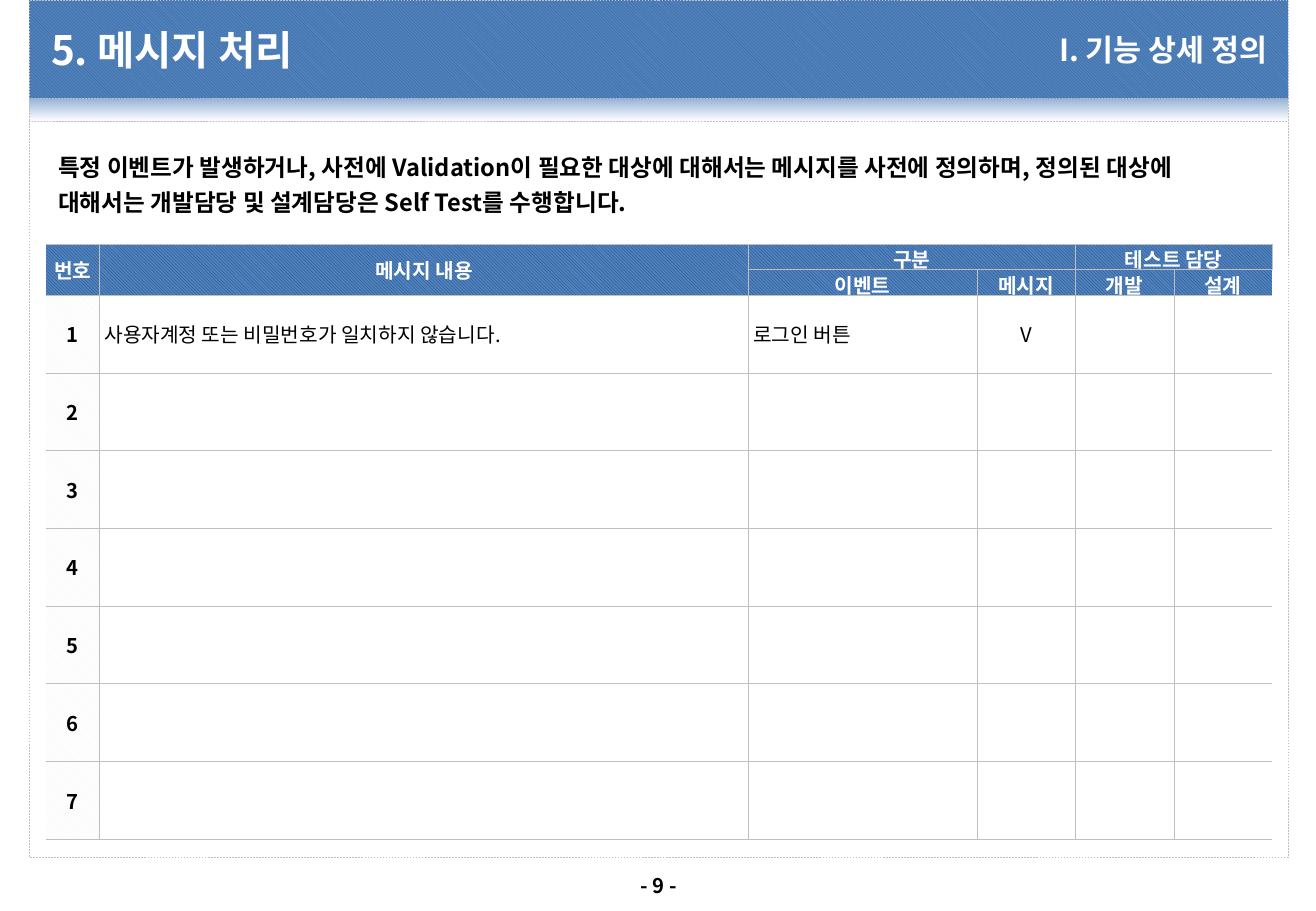
from lxml import etree
from pptx import Presentation
from pptx import util as u
from pptx.dml import color
from pptx.enum import dml, shapes, text
from pptx.oxml import ns

FONT = "Noto Sans CJK KR"
COLORS = {
    "white": "FFFFFF", "black": "000000", "border": "BFBFBF",
    "blue": "4F81BD", "title_hatch": "376092", "head_hatch": "1F497D",
    "number_hatch": "F2F2F2", "fade": "95B3D7",
}
LEFT, CENTER, RIGHT = text.PP_ALIGN.LEFT, text.PP_ALIGN.CENTER, text.PP_ALIGN.RIGHT
MIDDLE, TOP = text.MSO_ANCHOR.MIDDLE, text.MSO_ANCHOR.TOP
COLUMNS = [0.44, 5.34, 1.88, 0.81, 0.81, 0.81]
HEAD_HEIGHT, BODY_HEIGHT, BODY_ROWS = 0.21, 0.64, 7
HEADINGS = [
    (0, 0, 1, 0, "번호"), (0, 1, 1, 1, "메시지 내용"),
    (0, 2, 0, 3, "구분"), (0, 4, 0, 5, "테스트 담당"),
    (1, 2, 1, 2, "이벤트"), (1, 3, 1, 3, "메시지"),
    (1, 4, 1, 4, "개발"), (1, 5, 1, 5, "설계"),
]
MESSAGES = [
    (1, "사용자계정 또는 비밀번호가 일치하지 않습니다.", LEFT),
    (2, "로그인 버튼", LEFT),
    (3, "V", CENTER),
]


def rgb(name):
    return color.RGBColor.from_string(COLORS[name])


def set_all(target, values):
    for name, value in values.items():
        setattr(target, name, value)


def hatch(fill, fore, back):
    fill.patterned()
    fill.pattern = dml.MSO_PATTERN.LIGHT_DOWNWARD_DIAGONAL
    fill.fore_color.rgb = rgb(fore)
    fill.back_color.rgb = rgb(back)


def solid(fill, name):
    fill.solid()
    fill.fore_color.rgb = rgb(name)


def write(para, words, size, ink="black", bold=True, **layout):
    set_all(para, layout)
    span = para.add_run()
    span.text = words
    set_all(span.font, {"name": FONT, "size": u.Pt(size), "bold": bold})
    span.font.color.rgb = rgb(ink)
    east = etree.SubElement(span.font._element, ns.qn("a:ea"))
    east.set("typeface", FONT)


def add_text(page, box, words, size, ink="black", inset=(0.04, 0.04),
             anchor=MIDDLE, wrap=True, **layout):
    frame = page.shapes.add_textbox(*map(u.Inches, box)).text_frame
    across, down = map(u.Inches, inset)
    set_all(frame, {
        "word_wrap": wrap, "vertical_anchor": anchor,
        "margin_left": across, "margin_right": across,
        "margin_top": down, "margin_bottom": down,
    })
    write(frame.paragraphs[0], words, size, ink, **layout)


def add_panel(page, box):
    panel = page.shapes.add_shape(shapes.MSO_SHAPE.RECTANGLE, *map(u.Inches, box))
    panel.shadow.inherit = False
    panel.line.color.rgb = rgb("border")
    set_all(panel.line, {"width": u.Pt(0.25), "dash_style": dml.MSO_LINE.DASH})
    return panel


def add_frame(page, left, top, width, height):
    bar, fade = 0.81, 0.19
    strip = add_panel(page, (left, top + bar, width, fade))
    strip.fill.gradient()
    strip.fill.gradient_angle = 270
    for stop, name in zip(strip.fill.gradient_stops, ("fade", "white")):
        stop.color.rgb = rgb(name)
    body = add_panel(page, (left, top + bar + fade, width, height - bar - fade))
    solid(body.fill, "white")
    header = add_panel(page, (left, top, width, bar))
    header.rotation = 180
    hatch(header.fill, "title_hatch", "blue")


def add_titles(page, left, top, width, height):
    split = 6.69
    add_text(page, (left, top, split, height), "5. 메시지 처리", 24, "white")
    add_text(page, (left + split, top, width - split, height),
             "I. 기능 상세 정의", 18, "white", alignment=RIGHT)


def add_borders(cell, column):
    props = cell._tc.get_or_add_tcPr()
    hidden = {"lnL": column == 0, "lnR": column == len(COLUMNS) - 1}
    for index, side in enumerate(("lnL", "lnR", "lnT", "lnB")):
        line = etree.Element(ns.qn("a:" + side), w=str(u.Pt(0.25)))
        if hidden.get(side):
            etree.SubElement(line, ns.qn("a:noFill"))
        else:
            fill = etree.SubElement(line, ns.qn("a:solidFill"))
            etree.SubElement(fill, ns.qn("a:srgbClr"), val=COLORS["border"])
        props.insert(index, line)


def style_cell(cell, row, column):
    set_all(cell, {
        "vertical_anchor": MIDDLE, "margin_top": 0, "margin_bottom": 0,
        "margin_left": u.Inches(0.04), "margin_right": u.Inches(0.04),
    })
    if row < 2:
        hatch(cell.fill, "head_hatch", "blue")
    elif column == 0:
        hatch(cell.fill, "number_hatch", "white")
    else:
        solid(cell.fill, "white")
    add_borders(cell, column)


def add_message_table(page, left, top, width, height):
    heights = [HEAD_HEIGHT] * 2 + [BODY_HEIGHT] * BODY_ROWS
    table = page.shapes.add_table(
        len(heights), len(COLUMNS), *map(u.Inches, (left, top, width, height))).table
    set_all(table, {"first_row": False, "horz_banding": False})
    for column, size in zip(table.columns, COLUMNS):
        column.width = u.Inches(size)
    for row, size in enumerate(heights):
        table.rows[row].height = u.Inches(size)
        for column in range(len(COLUMNS)):
            style_cell(table.cell(row, column), row, column)

    def fill_in(row, column, words, **look):
        write(table.cell(row, column).text_frame.paragraphs[0], words, 12, **look)

    for row, column, last_row, last_column, words in HEADINGS:
        if (row, column) != (last_row, last_column):
            table.cell(row, column).merge(table.cell(last_row, last_column))
        fill_in(row, column, words, ink="white", alignment=CENTER)
    for number in range(1, BODY_ROWS + 1):
        fill_in(number + 1, 0, str(number), alignment=CENTER)
    for column, words, align in MESSAGES:
        fill_in(2, column, words, bold=False, alignment=align)


def main():
    deck = Presentation()
    set_all(deck, {"slide_width": u.Inches(10.83), "slide_height": u.Inches(7.5)})
    page = deck.slides.add_slide(deck.slide_layouts[6])
    add_frame(page, 0.24, 0, 10.36, 7.06)
    add_text(page, (5.08, 7.14, 0.68, 0.3), "- 9 -", 12, inset=(0.1, 0.05),
             anchor=TOP, wrap=False, alignment=CENTER)
    add_titles(page, 0.38, 0.08, 10.09, 0.66)
    add_text(page, (0.38, 1.16, 10.09, 0.86),
             "특정 이벤트가 발생하거나, 사전에 Validation이 필요한 대상에 대해서는 "
             "메시지를 사전에 정의하며, 정의된 대상에 대해서는 개발담당 및 설계담당은 "
             "Self Test를 수행합니다.",
             14, inset=(0.1, 0.05), anchor=TOP,
             line_spacing=1.23, space_before=u.Pt(2.8))
    add_message_table(page, 0.38, 2.01, 10.09, 4.93)
    deck.save("out.pptx")


if __name__ == "__main__":
    main()
